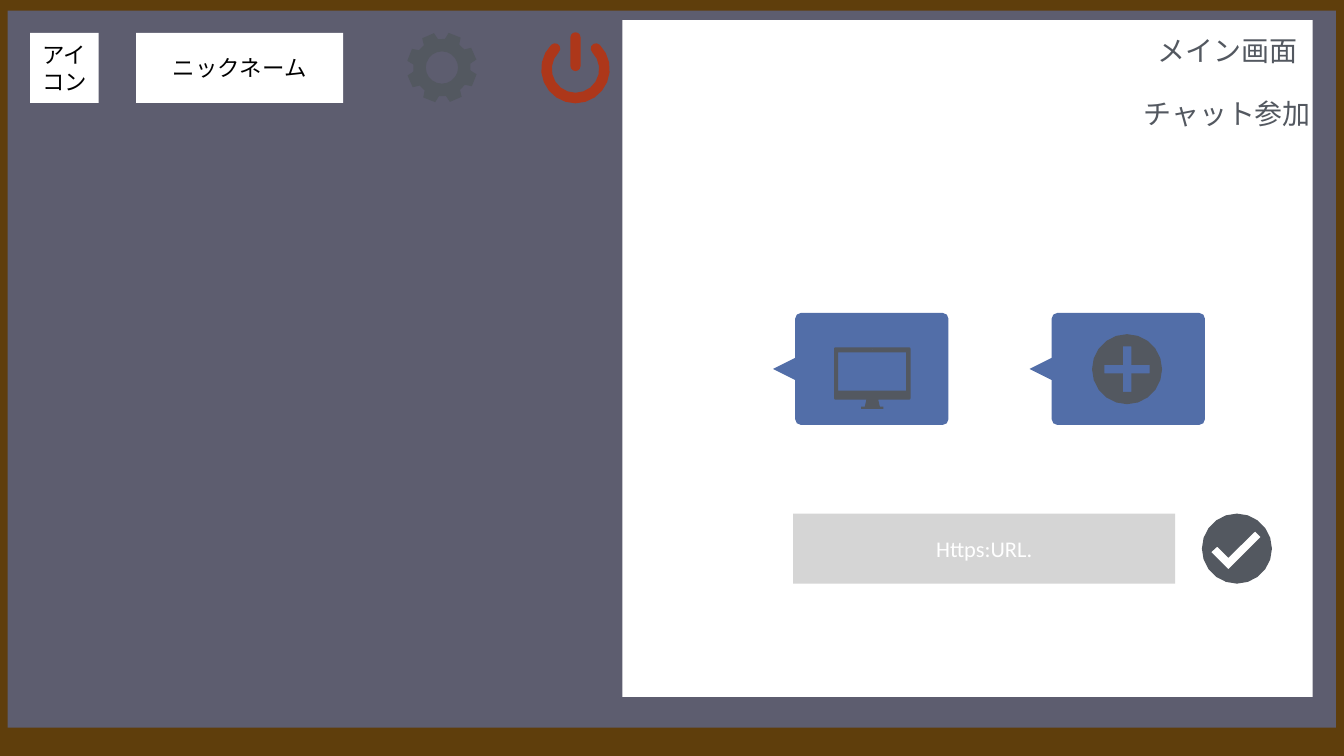
from math import cos, radians, sin

from lxml import etree
from pptx import Presentation
from pptx.dml.color import RGBColor
from pptx.enum.shapes import MSO_SHAPE
from pptx.enum.text import MSO_ANCHOR, PP_ALIGN
from pptx.oxml.ns import qn
from pptx.util import Pt

RECT = MSO_SHAPE.RECTANGLE
MIDDLE = MSO_ANCHOR.MIDDLE
CENTER = PP_ALIGN.CENTER

PX = 9144
SLIDE = (2667, 1500)
FONT = "Calibri"
INSET = 6
COLORS = {
    "frame": "5F3E0C", "overlay": "5B86F2", "white": "FFFFFF", "black": "000000",
    "bubble": "526EA8", "icon": "535860", "power": "AD371A", "field": "D5D5D5",
}
OVERLAY = (15, 21, 2636, 1423)
OVERLAY_ALPHA = 43
PANEL = (1235, 40, 1370, 1343)
FIELDS = [
    ("アイコン", (60, 65, 136, 139), "white", "black"),
    ("ニックネーム", (270, 65, 411, 139), "white", "black"),
    ("Https:URL.", (1574, 1019, 758, 139), "field", "white"),
]
LABELS = [
    ("メイン画面", (2291, 67, 290, 67)),
    ("チャット参加", (2263, 191, 346, 67)),
]
BUBBLES = [(1534, 621), (2043, 621)]
BUBBLE_SIZE = (348, 222)
TAIL = (44, 22)
GEAR = (877, 134)
POWER = (1142, 137)
MONITOR = (1731, 689)
PLUS = (2236.5, 732.5)
CHECK = (2454.5, 1088.5)
DISC_R = 69.5


def color(name):
    return RGBColor.from_string(COLORS[name])


def paint(sp, fill):
    sp.shadow.inherit = False
    sp.fill.solid()
    sp.fill.fore_color.rgb = color(fill)
    sp.line.fill.background()
    return sp


def box(s, rect, fill):
    return paint(s.shapes.add_shape(RECT, *(v * PX for v in rect)), fill)


def write(sp, text, size, ink, wrap, align=None):
    tf = sp.text_frame
    tf.text = text
    tf.word_wrap = wrap
    tf.vertical_anchor = MIDDLE
    tf.margin_left = tf.margin_right = tf.margin_top = tf.margin_bottom = INSET * PX
    p = tf.paragraphs[0]
    p.alignment = align
    font = p.runs[0].font
    font.name, font.size, font.color.rgb = FONT, Pt(size), color(ink)


def outline(s, contours, fill):
    scaled = [[(x * PX, y * PX) for x, y in points] for points in contours]
    builder = s.shapes.build_freeform(*scaled[0][0], scale=1.0)
    for i, points in enumerate(scaled):
        if i:
            builder.move_to(*points[0])
        builder.add_line_segments(points[1:], close=True)
    paint(builder.convert_to_shape(), fill)


def polar(cx, cy, r, angle):
    return cx + r * cos(radians(angle)), cy + r * sin(radians(angle))


def arc(cx, cy, r, start, end, steps):
    return [polar(cx, cy, r, start + (end - start) * i / steps) for i in range(steps + 1)]


def circle(cx, cy, r, steps=20):
    return arc(cx, cy, r, 0, 360, steps)[:-1]


def shifted(cx, cy, points):
    return [(cx + x, cy + y) for x, y in points]


def rounded(x, y, w, h, r, steps=2):
    corners = [(x + r, y + r), (x + w - r, y + r),
               (x + w - r, y + h - r), (x + r, y + h - r)]
    return [point for i, (cx, cy) in enumerate(corners)
            for point in arc(cx, cy, r, 180 + 90 * i, 270 + 90 * i, steps)]


def bubble(x, y):
    w, h = BUBBLE_SIZE
    tail_w, tail_h = TAIL
    left, mid = x + tail_w, y + h / 2
    tail = [(left, mid + tail_h), (x, mid), (left, mid - tail_h)]
    return [rounded(left, y, w - tail_w, h, 11) + tail]


def plus(cx, cy):
    a, b = 8.5, 45
    cross = [(-a, -b), (a, -b), (a, -a), (b, -a), (b, a), (a, a),
             (a, b), (-a, b), (-a, a), (-b, a), (-b, -a), (-a, -a)]
    return [circle(cx, cy, DISC_R), shifted(cx, cy, cross)]


def check(cx, cy):
    tick = [(36, -34), (47, -23), (-17, 41), (-51, 7), (-39, -4), (-17, 18)]
    return [circle(cx, cy, DISC_R), shifted(cx, cy, tick)]


def monitor(cx, top):
    stand = [(12, 104), (12, 105), (15, 118), (22, 118), (22, 122)]
    foot = stand + [(-x, y) for x, y in reversed(stand)]
    case = rounded(cx - 76, top, 152, 104, 3)
    split = len(case) // 4 * 3
    body = case[:split] + shifted(cx, top, foot) + case[split:]
    screen = [(-68, 10), (67, 10), (67, 86), (-68, 86)]
    return [body, circle(cx, top + 4.5, 1, 4), shifted(cx, top, screen)]


def power(cx, cy):
    outer, inner, half = 68, 47, 10
    mid, cap = (outer + inner) / 2, (outer - inner) / 2
    start, end = -45, 225
    ring = (arc(cx, cy, outer, start, end, 16)
            + arc(*polar(cx, cy, mid, end), cap, end, end + 180, 5)[1:-1]
            + arc(cx, cy, inner, end, start, 14)
            + arc(*polar(cx, cy, mid, start), cap, start + 180, start + 360, 5)[1:-1])
    return [rounded(cx - half, cy - 73, 2 * half, 77, half, 3), ring]


def gear(cx, cy):
    teeth, first = 8, -68.5
    profile = [(-15.5, 57), (-10.5, 70), (10.5, 70), (15.5, 57)]
    rim = [polar(cx, cy, r, first + 360 / teeth * i + offset)
           for i in range(teeth) for offset, r in profile]
    return [rim, circle(cx, cy, 32)]


def main():
    prs = Presentation()
    prs.slide_width, prs.slide_height = (v * PX for v in SLIDE)
    s = prs.slides.add_slide(prs.slide_layouts[6])
    s.background.fill.solid()
    s.background.fill.fore_color.rgb = color("frame")

    overlay = box(s, OVERLAY, "overlay")
    clr = overlay.fill._xPr.find(qn("a:solidFill"))[0]
    etree.SubElement(clr, qn("a:alpha")).set("val", str(OVERLAY_ALPHA * 1000))
    box(s, PANEL, "white")

    for text, rect, fill, ink in FIELDS:
        write(box(s, rect, fill), text, 32, ink, True, CENTER)
    for x, y in BUBBLES:
        outline(s, bubble(x, y), "bubble")
    for icon, place, fill in [
        (plus, PLUS, "icon"), (monitor, MONITOR, "icon"), (power, POWER, "power"),
        (gear, GEAR, "icon"), (check, CHECK, "icon"),
    ]:
        outline(s, icon(*place), fill)
    for text, rect in LABELS:
        write(s.shapes.add_textbox(*(v * PX for v in rect)), text, 40, "icon", False)

    prs.save("out.pptx")


if __name__ == "__main__":
    main()
